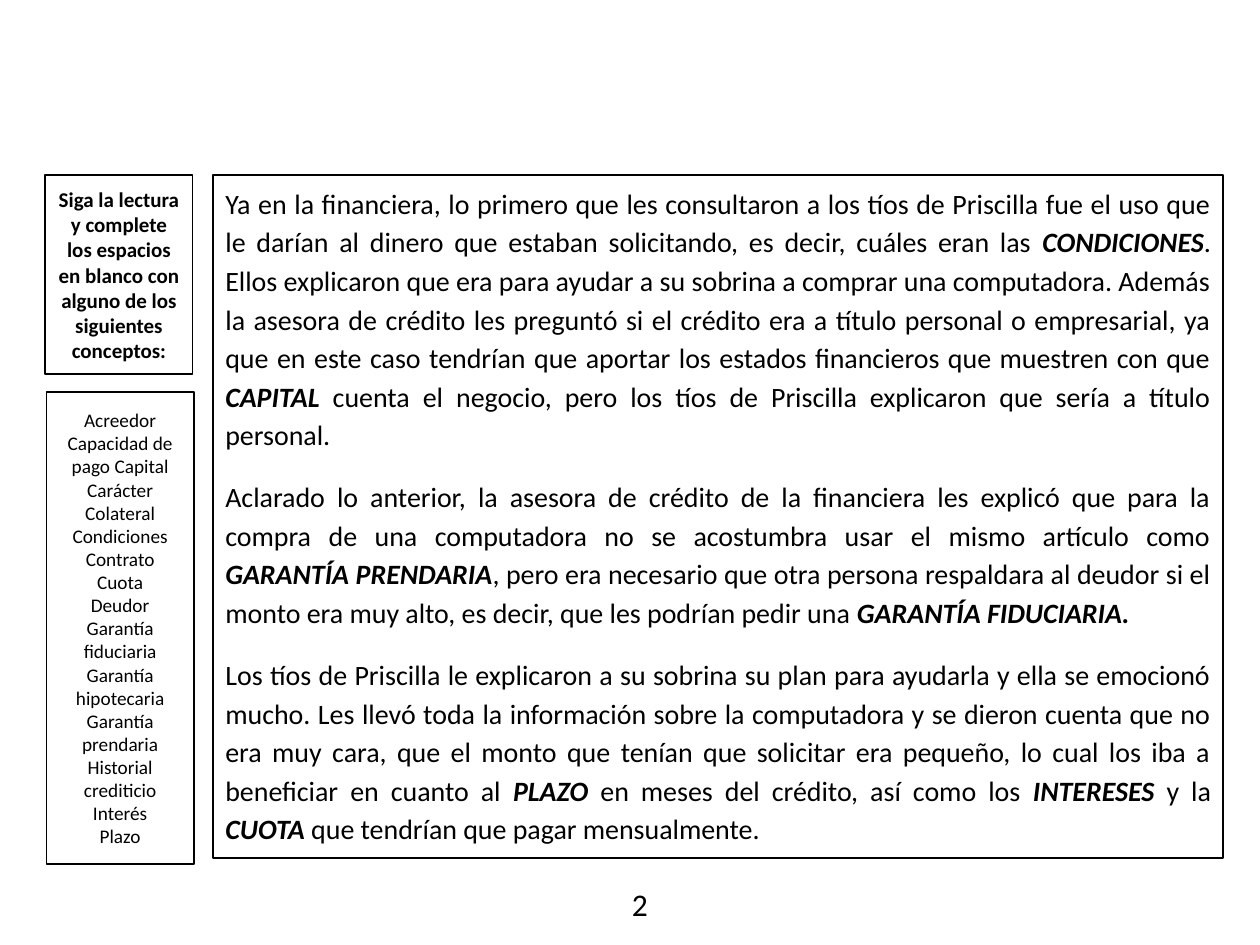
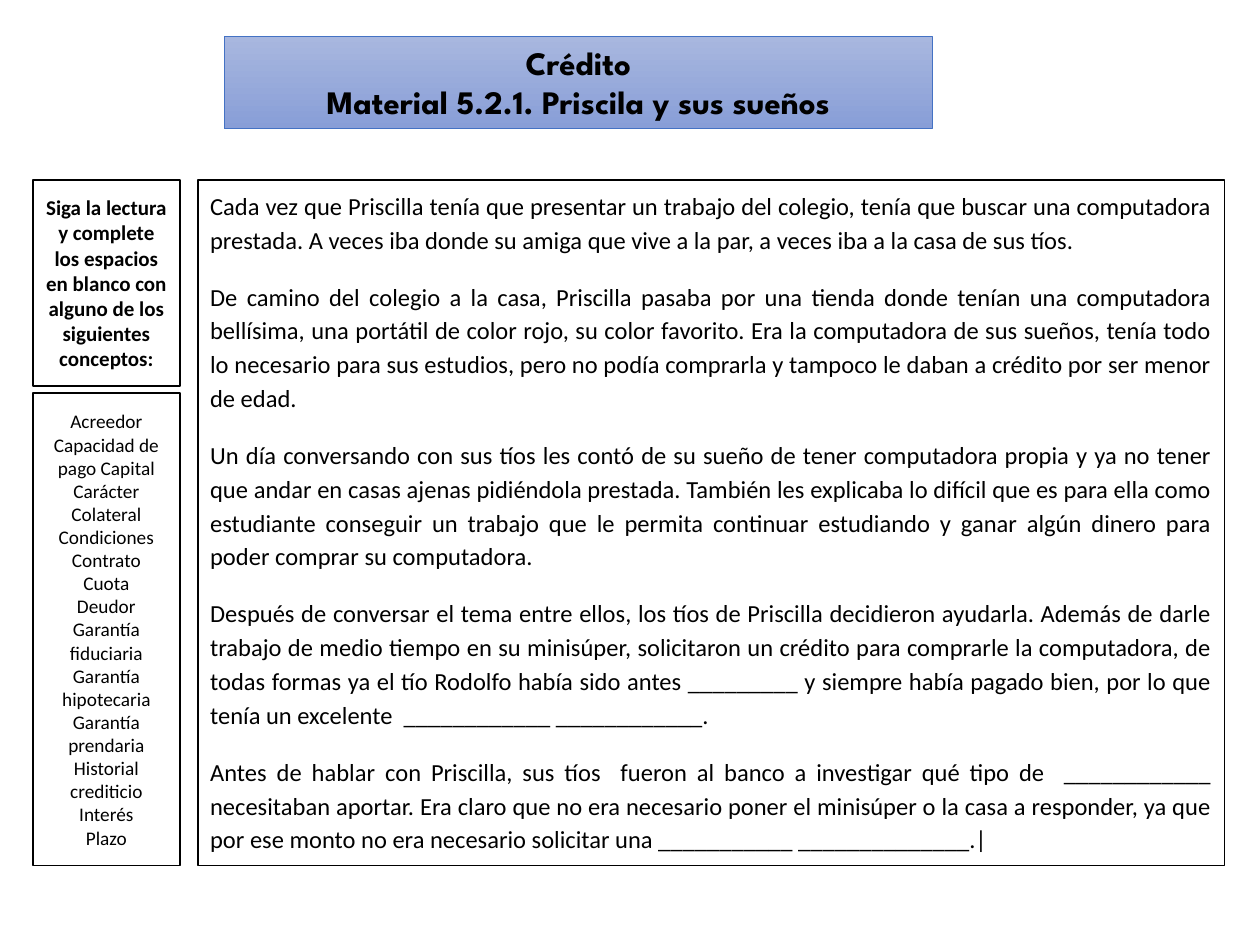
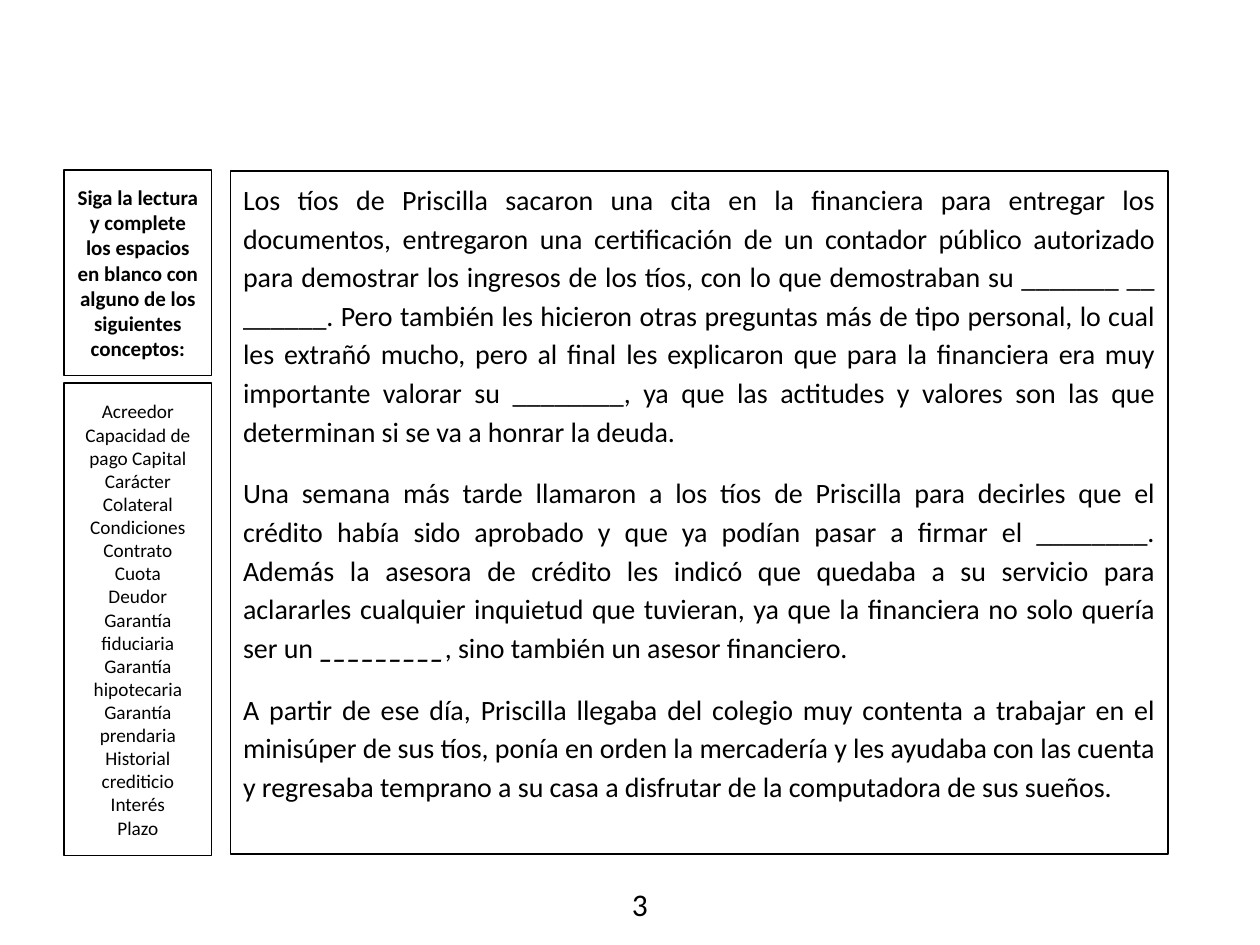
"""Three worksheet pages about credit: a story, a prompt and a word list on each."""
from pptx import Presentation
from pptx.dml.color import RGBColor
from pptx.enum.shapes import MSO_SHAPE
from pptx.enum.text import MSO_ANCHOR, MSO_AUTO_SIZE, PP_ALIGN
from pptx.util import Pt

RECTANGLE, OVAL = MSO_SHAPE.RECTANGLE, MSO_SHAPE.OVAL
TOP, MIDDLE = MSO_ANCHOR.TOP, MSO_ANCHOR.MIDDLE
CENTER, JUSTIFY = PP_ALIGN.CENTER, PP_ALIGN.JUSTIFY
GROW = MSO_AUTO_SIZE.SHAPE_TO_FIT_TEXT

BLACK = RGBColor(0x00, 0x00, 0x00)
WHITE = RGBColor(0xFF, 0xFF, 0xFF)
BANNER_TOP = RGBColor(0xA8, 0xB7, 0xDF)
BANNER_BOTTOM = RGBColor(0x88, 0x9E, 0xD7)
BANNER_LINE = RGBColor(0x44, 0x72, 0xC4)

BODY_FONT = "Calibri"
TITLE_FONT = "League Spartan"
SIDE_WIDTH = 84.2
LIST_HEIGHT = 270

TITLE = ["Crédito", "Material 5.2.1. Priscila y sus sueños"]
PROMPT = ["Siga la lectura y complete los espacios en blanco con alguno de los siguientes conceptos:"]
CONCEPTS = [
    "Acreedor Capacidad de pago Capital",
    "Carácter",
    "Colateral Condiciones Contrato",
    "Cuota",
    "Deudor",
    "Garantía fiduciaria Garantía hipotecaria Garantía prendaria Historial crediticio Interés",
    "Plazo",
]

PAGES = [
    {
        "story_at": (121.7, 100.1, 577.4, 390.2),
        "prompt_at": (25.9, 100.1, SIDE_WIDTH, 113.8),
        "list_at": (26.6, 223.9, SIDE_WIDTH, LIST_HEIGHT),
        "size": 16,
        "number": "2",
        "title": None,
        "story": [
            "Ya en la financiera, lo primero que les consultaron a los tíos de Priscilla fue el uso que "
            "le darían al dinero que estaban solicitando, es decir, cuáles eran las *CONDICIONES*. "
            "Ellos explicaron que era para ayudar a su sobrina a comprar una computadora. Además "
            "la asesora de crédito les preguntó si el crédito era a título personal o empresarial, ya "
            "que en este caso tendrían que aportar los estados financieros que muestren con que "
            "*CAPITAL* cuenta el negocio, pero los tíos de Priscilla explicaron que sería a título "
            "personal.",
            "Aclarado lo anterior, la asesora de crédito de la financiera les explicó que para la "
            "compra de una computadora no se acostumbra usar el mismo artículo como "
            "*GARANTÍA PRENDARIA*, pero era necesario que otra persona respaldara al deudor si el "
            "monto era muy alto, es decir, que les podrían pedir una *GARANTÍA FIDUCIARIA.*",
            "Los tíos de Priscilla le explicaron a su sobrina su plan para ayudarla y ella se emocionó "
            "mucho. Les llevó toda la información sobre la computadora y se dieron cuenta que no "
            "era muy cara, que el monto que tenían que solicitar era pequeño, lo cual los iba a "
            "beneficiar en cuanto al *PLAZO *en meses del crédito, así como los *INTERESES* y la "
            "*CUOTA* que tendrían que pagar mensualmente.",
        ],
    },
    {
        "story_at": (113, 103, 586.8, 391.7),
        "prompt_at": (18.7, 103, SIDE_WIDTH, 117.4),
        "list_at": (18.7, 224.6, SIDE_WIDTH, LIST_HEIGHT),
        "size": 14,
        "number": None,
        "title": TITLE,
        "story": [
            "Cada vez que Priscilla tenía que presentar un trabajo del colegio, tenía que buscar una "
            "computadora prestada. A veces iba donde su amiga que vive a la par, a veces iba a la casa "
            "de sus tíos.",
            "De camino del colegio a la casa, Priscilla pasaba por una tienda donde tenían una "
            "computadora bellísima, una portátil de color rojo, su color favorito. Era la computadora "
            "de sus sueños, tenía todo lo necesario para sus estudios, pero no podía comprarla y "
            "tampoco le daban a crédito por ser menor de edad.",
            "Un día conversando con sus tíos les contó de su sueño de tener computadora propia y ya no "
            "tener que andar en casas ajenas pidiéndola prestada. También les explicaba lo difícil que "
            "es para ella como estudiante conseguir un trabajo que le permita continuar estudiando y "
            "ganar algún dinero para poder comprar su computadora.",
            "Después de conversar el tema entre ellos, los tíos de Priscilla decidieron ayudarla. "
            "Además de darle trabajo de medio tiempo en su minisúper, solicitaron un crédito para "
            "comprarle la computadora, de todas formas ya el tío Rodolfo había sido antes _________ y "
            "siempre había pagado bien, por lo que tenía un excelente  ____________ ____________.",
            "Antes de hablar con Priscilla, sus tíos  fueron al banco a investigar qué tipo de  "
            "____________ necesitaban aportar. Era claro que no era necesario poner el minisúper o la "
            "casa a responder, ya que por ese monto no era necesario solicitar una ___________ "
            "______________.|",
        ],
    },
    {
        "story_at": (131.8, 97.9, 535.7, 390.2),
        "prompt_at": (36.7, 97.2, SIDE_WIDTH, 117.4),
        "list_at": (36.7, 218.9, SIDE_WIDTH, LIST_HEIGHT),
        "size": 16,
        "number": "3",
        "title": None,
        "story": [
            "Los tíos de Priscilla sacaron una cita en la financiera para entregar los documentos, "
            "entregaron una certificación de un contador público autorizado para demostrar los "
            "ingresos de los tíos, con lo que demostraban su _______ __ ______. Pero también les "
            "hicieron otras preguntas más de tipo personal, lo cual les extrañó mucho, pero al final "
            "les explicaron que para la financiera era muy importante valorar su ________, ya que las "
            "actitudes y valores son las que determinan si se va a honrar la deuda.",
            "Una semana más tarde llamaron a los tíos de Priscilla para decirles que el crédito había "
            "sido aprobado y que ya podían pasar a firmar el ________. Además la asesora de crédito "
            "les indicó que quedaba a su servicio para aclararles cualquier inquietud que tuvieran, "
            "ya que la financiera no solo quería ser un *_________*, sino también un asesor financiero.",
            "A partir de ese día, Priscilla llegaba del colegio muy contenta a trabajar en el "
            "minisúper de sus tíos, ponía en orden la mercadería y les ayudaba con las cuenta y "
            "regresaba temprano a su casa a disfrutar de la computadora de sus sueños.",
        ],
    },
]


def add_box(page, kind, place, texts, size, align=CENTER, anchor=MIDDLE, font=BODY_FONT, bold=None):
    """Add a white shape with text; stars enclose words in bold italics."""
    box = page.shapes.add_shape(kind, *[Pt(length) for length in place])
    box.shadow.inherit = False
    box.fill.solid()
    box.fill.fore_color.rgb = WHITE
    box.line.color.rgb = BLACK
    box.line.width = Pt(1)
    frame = box.text_frame
    frame.word_wrap = True
    frame.vertical_anchor = anchor
    for index, text in enumerate(texts):
        para = frame.add_paragraph() if index else frame.paragraphs[0]
        para.alignment = align
        para.font.name = font
        para.font.size = Pt(size)
        para.font.color.rgb = BLACK
        para.font.bold = bold
        for part, words in enumerate(text.split("*")):
            if words:
                span = para.add_run()
                span.text = words
                if part % 2:
                    span.font.bold = span.font.italic = True
    return box


deck = Presentation()
deck.slide_width, deck.slide_height = Pt(720), Pt(540)

for content in PAGES:
    page = deck.slides.add_slide(deck.slide_layouts[6])

    story = add_box(page, RECTANGLE, content["story_at"], content["story"], content["size"], JUSTIFY, TOP)
    story.text_frame.auto_size = GROW
    for para in story.text_frame.paragraphs:
        para.line_spacing = 1.15
        para.space_after = Pt(13.3)

    add_box(page, RECTANGLE, content["list_at"], CONCEPTS, 11)

    if content["title"]:
        banner = add_box(page, RECTANGLE, (128.2, 20.9, 404.6, 52.6), content["title"], 18.7,
                         anchor=TOP, font=TITLE_FONT, bold=True)
        banner.text_frame.auto_size = GROW
        banner.fill.gradient()
        banner.fill.gradient_angle = 270
        for stop, color in zip(banner.fill.gradient_stops, (BANNER_TOP, BANNER_BOTTOM)):
            stop.color.rgb = color
        banner.line.color.rgb = BANNER_LINE
        banner.line.width = Pt(0.5)

    add_box(page, RECTANGLE, content["prompt_at"], PROMPT, 12, bold=True)

    if content["number"]:
        number = add_box(page, OVAL, (343.4, 499, 44.6, 34.6), [content["number"]], 18)
        number.line.fill.background()

deck.save("out.pptx")
